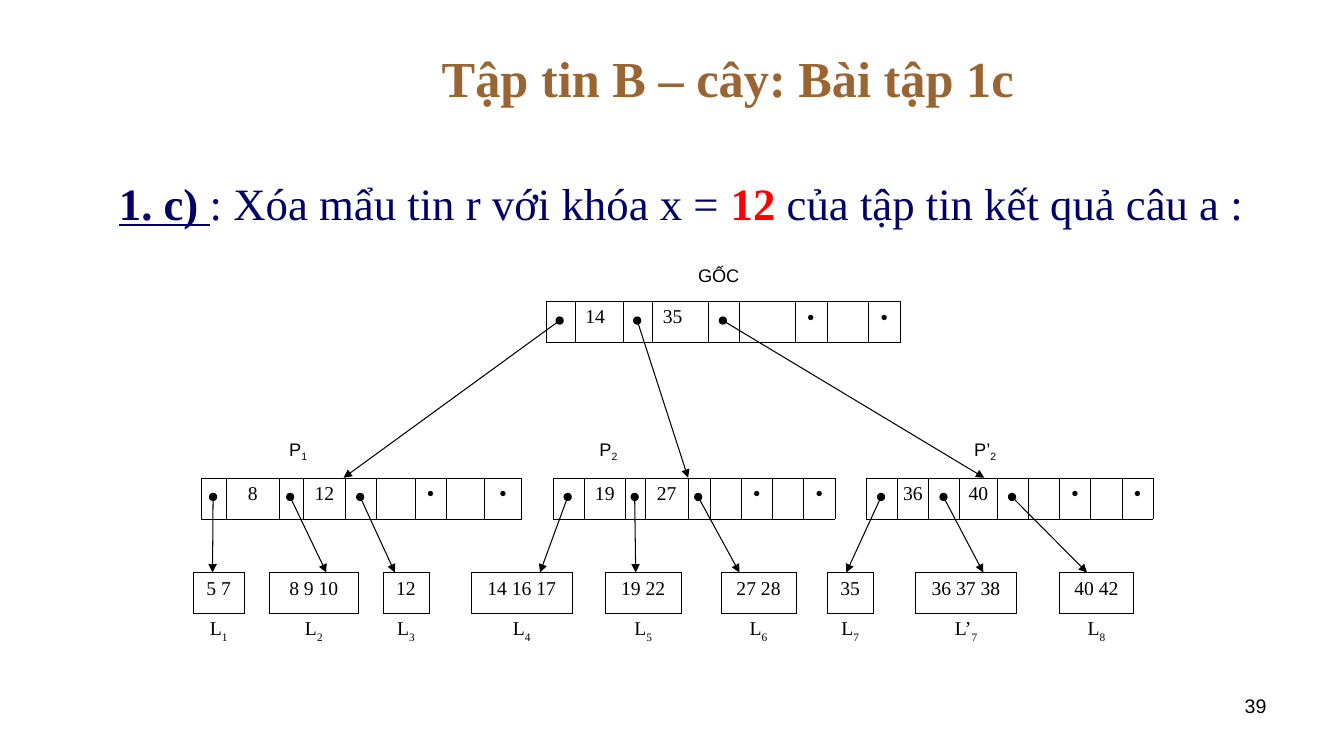
from itertools import accumulate
from lxml import etree
from pptx import Presentation, util as u
from pptx.dml.color import RGBColor
from pptx.enum import shapes, text
from pptx.oxml import ns

COLORS = {"ink": "000000", "title": "996633", "body": "000066", "key": "FF0000"}
SERIF, SANS = "Times New Roman", "Arial"
LEFT, CENTER, RIGHT = text.PP_ALIGN.LEFT, text.PP_ALIGN.CENTER, text.PP_ALIGN.RIGHT

TITLE = "Tập tin B – cây: Bài tập 1c"
QUESTION = [
    ("1. c) ", {"bold": True, "underline": True}),
    (": Xóa mẩu tin r với khóa x = ", {}),
    ("12 ", {"bold": True, "color": "key"}),
    ("của tập tin kết quả câu a :", {}),
]
ROOT_LABEL, PAGE = "GỐC", "39"
NODE_LABELS = [("P", "1"), ("\tP", "2"), ("\tP’", "2")]

# None marks a gap between nodes, "" an empty cell
ROOT = [None, "", "14", "", "35", "", "", "•", "", "•"]
ROOT_COLUMNS = [1.31, .29, .48, .29, .55, .31, .55, .32, .41, .32]
INNER = ["", "8", "", "12", "", "", "•", "", "•", None,
         "", "19", "", "27", "", "", "•", "", "•", None,
         "", "36", "", "40", "", "", "•", "", "•"]
INNER_COLUMNS = [.25, .52, .24, .42, .31, .38, .31, .38, .37, .31,
                 .31, .41, .2, .42, .22, .31, .31, .31, .31, .31,
                 .31, .31, .31, .37, .31, .31, .31, .31, .31]
LEAVES = ["5 7", None, "8 9 10", None, "12", None, "14 16 17", None, "19 22", None,
          "27 28", None, "35", None, "36 37 38", None, "40 42"]
LEAF_NAMES = [("L", "1"), ("L", "2"), ("L", "3"), ("L", "4"), ("L", "5"),
              ("L", "6"), ("L", "7"), ("L’", "7"), ("L", "8")]
LEAF_COLUMNS = [.5, .25, .89, .24, .46, .42, 1, .33, .75, .4, .74, .31, .46, .42, 1, .43, .73]

ROOT_AT, INNER_AT, LEAVES_AT = (4.11, 2.99), (2, 4.74), (1.92, 5.68)
NODE_ROW = .41
# pointer column and the x where its arrow lands
ROOT_POINTERS = [(1, 3.41), (3, 6.83), (5, 9.77)]
INNER_POINTERS = [(0, 2.11), (2, 3.24), (4, 3.92), (10, 5.36), (12, 6.31), (14, 7.34),
                  (20, 8.4), (22, 9.76), (24, 10.79)]


def write(paragraph, runs, align=LEFT, size=14, font=SERIF, color="ink", bold=False):
    """Fill a paragraph from a string or from (text, overrides) pairs."""
    paragraph.alignment = align
    for words, changes in [(runs, {})] if isinstance(runs, str) else runs:
        run = paragraph.add_run()
        run.text = words
        run.font.size, run.font.name = u.Pt(size), font
        run.font.bold = changes.get("bold", bold)
        run.font.underline = changes.get("underline", False)
        run.font.color.rgb = RGBColor.from_string(COLORS[changes.get("color", color)])
        if "baseline" in changes:
            run._r.get_or_add_rPr().set("baseline", str(changes["baseline"]))


def with_subscripts(names, baseline):
    return [part for name, index in names
            for part in ((name, {}), (index, {"baseline": baseline}))]


def place(shape, left, top, width, height):
    shape.left, shape.top, shape.width, shape.height = map(u.Inches, (left, top, width, height))


def prepare_frame(shape, anchor=text.MSO_ANCHOR.MIDDLE, wrap=True):
    frame = shape.text_frame
    frame.auto_size, frame.word_wrap = text.MSO_AUTO_SIZE.NONE, wrap
    frame.vertical_anchor = anchor
    return frame


def add_text(slide, box, runs, anchor=text.MSO_ANCHOR.MIDDLE, wrap=True, **style):
    shape = slide.shapes.add_textbox(*map(u.Inches, box))
    frame = prepare_frame(shape, anchor, wrap)
    write(frame.paragraphs[0], runs, **style)
    return frame


def set_borders(cell, sides):
    properties = cell._tc.get_or_add_tcPr()
    for side in "LRTB":
        line = etree.SubElement(properties, ns.qn("a:ln" + side), w=str(u.Pt(.45)))
        if side in sides:
            fill = etree.SubElement(line, ns.qn("a:solidFill"))
            etree.SubElement(fill, ns.qn("a:srgbClr"), val=COLORS["ink"])
        else:
            etree.SubElement(line, ns.qn("a:noFill"))


def format_cell(cell, sides, inset=.1):
    set_borders(cell, sides)
    cell.fill.background()
    cell.margin_left = cell.margin_right = u.Inches(inset)


def add_row_table(slide, at, columns, heights, values, align, inset):
    """Add a table whose first row holds the boxed values."""
    frame = slide.shapes.add_table(len(heights), len(columns),
                                   *map(u.Inches, (*at, sum(columns), sum(heights))))
    table = frame.table
    table.first_row = table.horz_banding = False
    for row, height in zip(table.rows, heights):
        row.height = u.Inches(height)
    for index, (width, value) in enumerate(zip(columns, values)):
        table.columns[index].width = u.Inches(width)
        cell = table.cell(0, index)
        gap_sides = "LR" if index else "R"
        format_cell(cell, gap_sides if value is None else "LRTB", inset)
        if value:
            bullet = value == "•"
            write(cell.text_frame.paragraphs[0], value, font=SANS if bullet else SERIF,
                  align=CENTER if bullet else align)
    return table


def add_arrows(slide, at, columns, pointers, end_y):
    edges = [at[0], *accumulate(columns, initial=at[0])][1:]
    for column, end_x in pointers:
        start_x = edges[column] + columns[column] / 2 - .01
        arrow = slide.shapes.add_connector(
            shapes.MSO_CONNECTOR.STRAIGHT,
            *map(u.Inches, (start_x, at[1] + .19, end_x, end_y)))
        arrow.line.width = u.Pt(.75)
        arrow.line.color.rgb = RGBColor.from_string(COLORS["ink"])
        line = arrow.line._get_or_add_ln()
        etree.SubElement(line, ns.qn("a:headEnd"), type="oval")
        etree.SubElement(line, ns.qn("a:tailEnd"), type="triangle")
        etree.SubElement(arrow._element.spPr, ns.qn("a:effectLst"))


def add_headings(slide):
    title, body = slide.shapes.title, slide.placeholders[1]
    place(title, 3.14, .25, 8.17, 1.03)
    write(prepare_frame(title).paragraphs[0], TITLE,
          align=CENTER, size=36, color="title", bold=True)
    place(body, 1.08, 1.75, 11.42, .75)
    paragraph = prepare_frame(body, text.MSO_ANCHOR.TOP).paragraphs[0]
    properties = paragraph._p.get_or_add_pPr()
    properties.set("marL", str(u.Inches(.38)))
    properties.set("indent", str(u.Inches(-.38)))
    etree.SubElement(properties, ns.qn("a:buNone"))
    paragraph.line_spacing, paragraph.space_before = .9, u.Pt(0)
    write(paragraph, QUESTION, size=32, color="body")


def add_labels(slide):
    add_text(slide, (6.83, 2.57, .61, .32), ROOT_LABEL, wrap=False, size=13, font=SANS)
    add_text(slide, (9.56, 6.83, 3.11, .52), PAGE, anchor=text.MSO_ANCHOR.TOP,
             align=RIGHT, font=SANS)
    frame = add_text(slide, (2.17, 4.29, 9.08, .36), with_subscripts(NODE_LABELS, -25000),
                     size=13, font=SANS)
    frame.margin_left = u.Inches(.7)
    tabs = etree.SubElement(frame.paragraphs[0]._p.get_or_add_pPr(), ns.qn("a:tabLst"))
    for position in (3.08, 6.8):
        etree.SubElement(tabs, ns.qn("a:tab"), pos=str(u.Inches(position)), algn="l")


def add_tree(slide):
    add_row_table(slide, ROOT_AT, ROOT_COLUMNS, [NODE_ROW], ROOT, LEFT, .1)
    add_row_table(slide, INNER_AT, INNER_COLUMNS, [NODE_ROW], INNER, CENTER, .05)
    leaves = add_row_table(slide, LEAVES_AT, LEAF_COLUMNS, [.4, .39], LEAVES, CENTER, .05)
    for index in range(len(LEAVES)):
        cell = leaves.cell(1, index)
        named = index % 2 == 0
        format_cell(cell, "T" if named else "")
        if named:
            write(cell.text_frame.paragraphs[0],
                  with_subscripts([LEAF_NAMES[index // 2]], -30000), align=CENTER)
    add_arrows(slide, ROOT_AT, ROOT_COLUMNS, ROOT_POINTERS, INNER_AT[1])
    add_arrows(slide, INNER_AT, INNER_COLUMNS, INNER_POINTERS, LEAVES_AT[1])


def main():
    presentation = Presentation()
    presentation.slide_width, presentation.slide_height = u.Inches(13.34), u.Inches(7.5)
    slide = presentation.slides.add_slide(presentation.slide_layouts[1])
    add_headings(slide)
    add_labels(slide)
    add_tree(slide)
    presentation.save("out.pptx")


if __name__ == "__main__":
    main()
